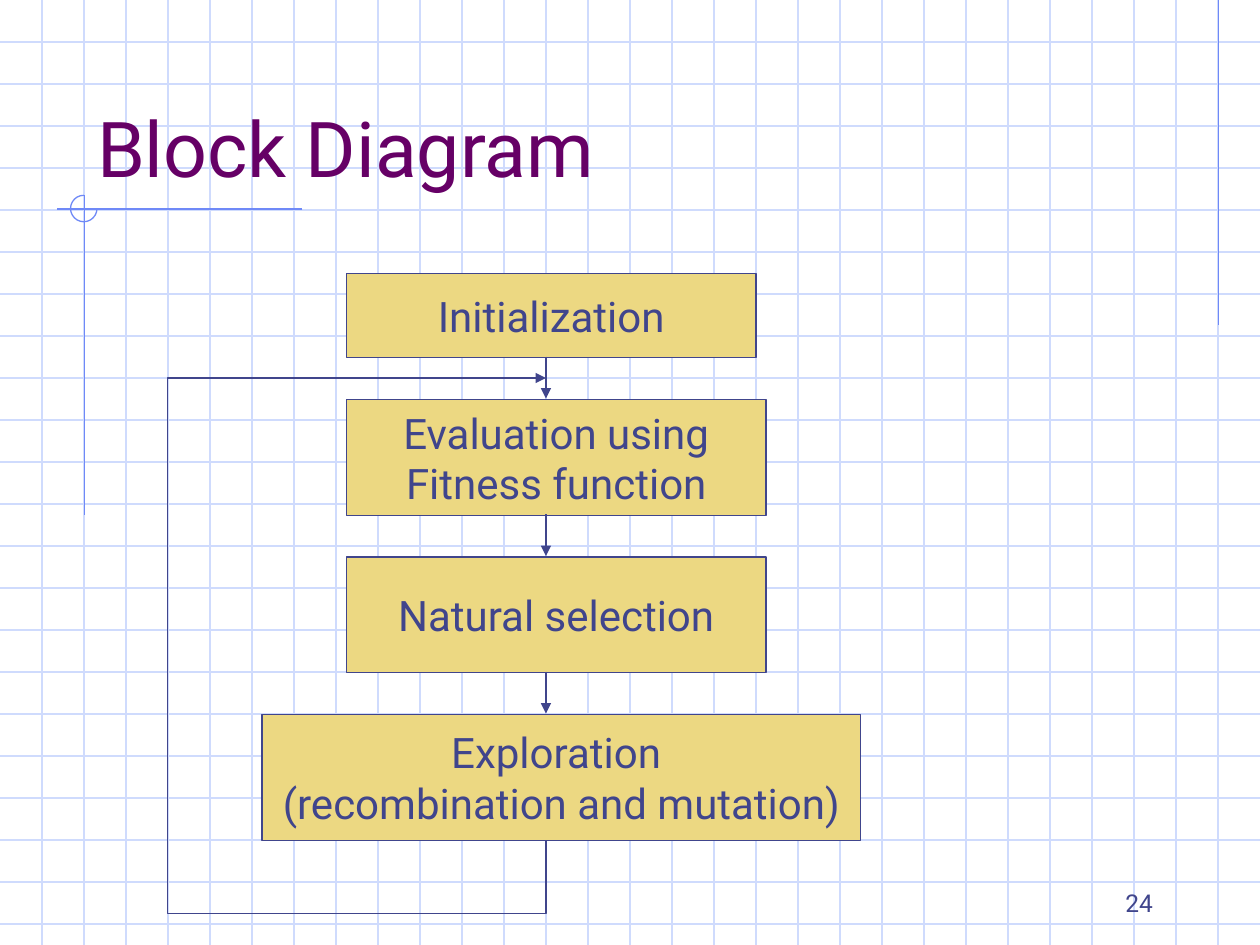
from dataclasses import dataclass

from lxml import etree
from pptx import Presentation
from pptx.dml.color import RGBColor
from pptx.enum import shapes, text
from pptx.oxml import ns
from pptx.util import Inches, Pt


@dataclass(frozen=True)
class Theme:
    font: str = "Roboto"
    grid: str = "CFDBFD"
    trim: str = "6F89F7"
    ink: str = "40458C"
    box: str = "ECD882"
    head: str = "660066"
    title: int = 44
    body: int = 24
    page: int = 14
    line: float = 0.75


THEME = Theme()
STEP = 1 / 3
AXIS = 13 * STEP


def color(code):
    return RGBColor.from_string(code)


def stroke(shape, code, arrow=False):
    shape.line.color.rgb = color(code)
    shape.line.width = Pt(THEME.line)
    if arrow:
        edge = shape.line._get_or_add_ln()
        etree.SubElement(edge, ns.qn("a:tailEnd"), type="triangle")


def write(shape, words, size, code, align, anchor, wrap=True):
    frame = shape.text_frame
    frame.text = words
    frame.word_wrap = wrap
    frame.auto_size = text.MSO_AUTO_SIZE.NONE
    frame.vertical_anchor = anchor
    for para in frame.paragraphs:
        para.alignment = align
        para.font.name = THEME.font
        para.font.size = Pt(size)
        para.font.color.rgb = color(code)


def add_line(slide, start, end, code, arrow=False):
    points = [Inches(v) for v in (*start, *end)]
    line = slide.shapes.add_connector(shapes.MSO_CONNECTOR.STRAIGHT, *points)
    stroke(line, code, arrow)
    etree.SubElement(line._element.spPr, ns.qn("a:effectLst"))


def add_grid(slide):
    for row in range(1, 23):
        add_line(slide, (0, row * STEP), (10, row * STEP), THEME.grid)
    for col in range(1, 30):
        add_line(slide, (col * STEP, 0), (col * STEP, 7.5), THEME.grid)


def add_trim(slide):
    add_line(slide, (9.67, 0), (9.67, 2.58), THEME.trim)
    add_line(slide, (2.4, 1.66), (0.45, 1.66), THEME.trim)
    add_line(slide, (0.67, 1.55), (0.67, 4.09), THEME.trim)
    place = [Inches(v) for v in (0.56, 1.55, 0.21, 0.21)]
    arc = slide.shapes.add_shape(shapes.MSO_SHAPE.ARC, *place)
    arc.adjustments[0] = 0
    arc.adjustments[1] = 162
    arc.fill.background()
    arc.shadow.inherit = False
    stroke(arc, THEME.trim)


def add_title(slide, words):
    title = slide.shapes.title
    title.left, title.top = Inches(0.67), Inches(0.33)
    title.width, title.height = Inches(8.5), Inches(1.25)
    write(title, words, THEME.title, THEME.head,
          text.PP_ALIGN.LEFT, text.MSO_ANCHOR.BOTTOM)
    slide.shapes._spTree.append(title._element)


def add_page(slide, number):
    place = [Inches(v) for v in (7.17, 6.83, 2.08, 0.5)]
    page = slide.shapes.add_textbox(*place)
    write(page, number, THEME.page, THEME.ink,
          text.PP_ALIGN.RIGHT, text.MSO_ANCHOR.BOTTOM)


def add_box(slide, words, *place):
    box = slide.shapes.add_shape(
        shapes.MSO_SHAPE.RECTANGLE, *[Inches(v) for v in place])
    box.fill.solid()
    box.fill.fore_color.rgb = color(THEME.box)
    box.shadow.inherit = False
    stroke(box, THEME.ink)
    write(box, words, THEME.body, THEME.ink,
          text.PP_ALIGN.CENTER, text.MSO_ANCHOR.MIDDLE, False)


def add_loop(slide):
    points = [(AXIS, 6.67), (AXIS, 7.25), (1.33, 7.25), (1.33, 3), (AXIS, 3)]
    first, *rest = [(Inches(x), Inches(y)) for x, y in points]
    pen = slide.shapes.build_freeform(*first)
    pen.add_line_segments(rest, close=False)
    loop = pen.convert_to_shape()
    loop.fill.background()
    loop.shadow.inherit = False
    stroke(loop, THEME.ink, True)


def main():
    deck = Presentation()
    deck.slide_width, deck.slide_height = Inches(10), Inches(7.5)
    slide = deck.slides.add_slide(deck.slide_layouts[5])
    add_grid(slide)
    add_trim(slide)
    add_page(slide, "24")
    add_title(slide, "Block Diagram")
    add_box(slide, "Initialization", 2.75, 2.17, 3.25, 0.67)
    add_box(slide, "Evaluation using\nFitness function", 2.75, 3.17, 3.33, 0.92)
    add_box(slide, "Natural selection", 2.75, 4.42, 3.33, 0.92)
    add_box(slide, "Exploration \n(recombination and mutation)",
            2.08, 5.67, 4.75, 1)
    for top in (2.83, 4.08, 5.33):
        add_line(slide, (AXIS, top), (AXIS, top + STEP), THEME.ink, True)
    add_loop(slide)
    deck.save("out.pptx")


if __name__ == "__main__":
    main()
